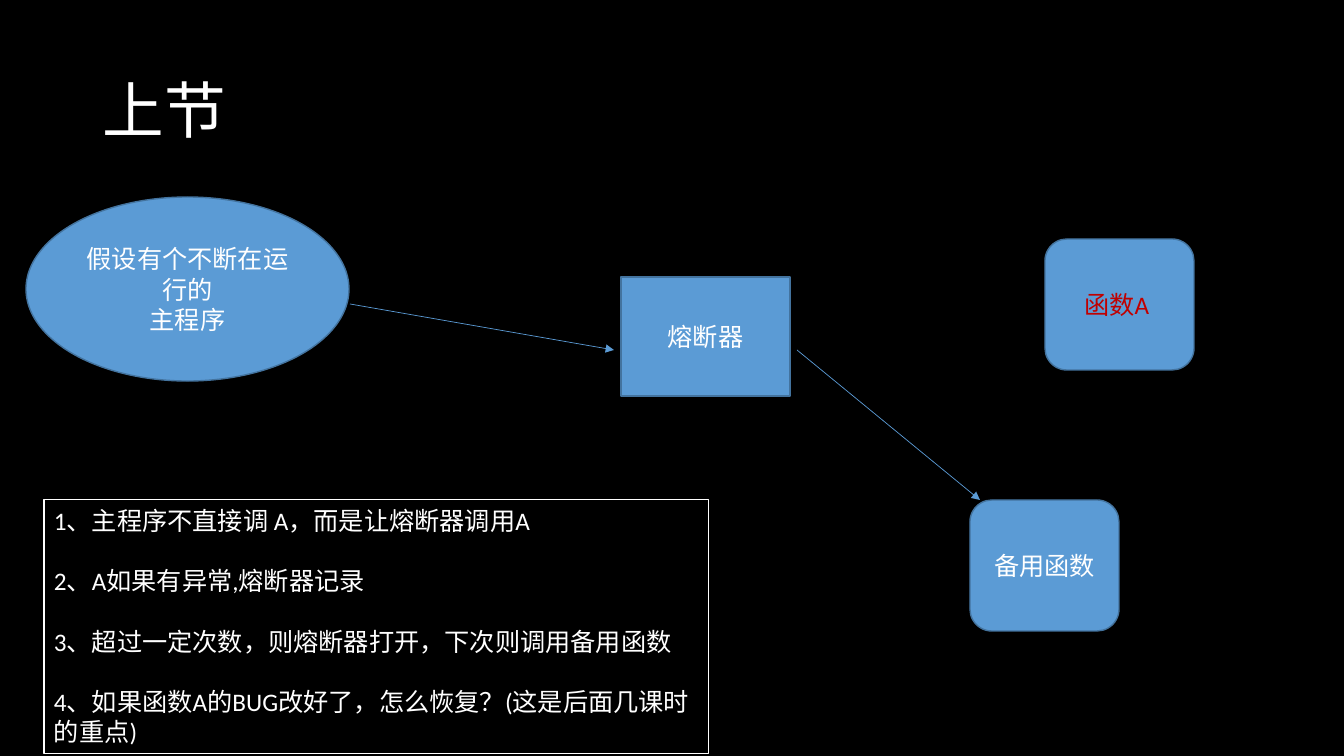
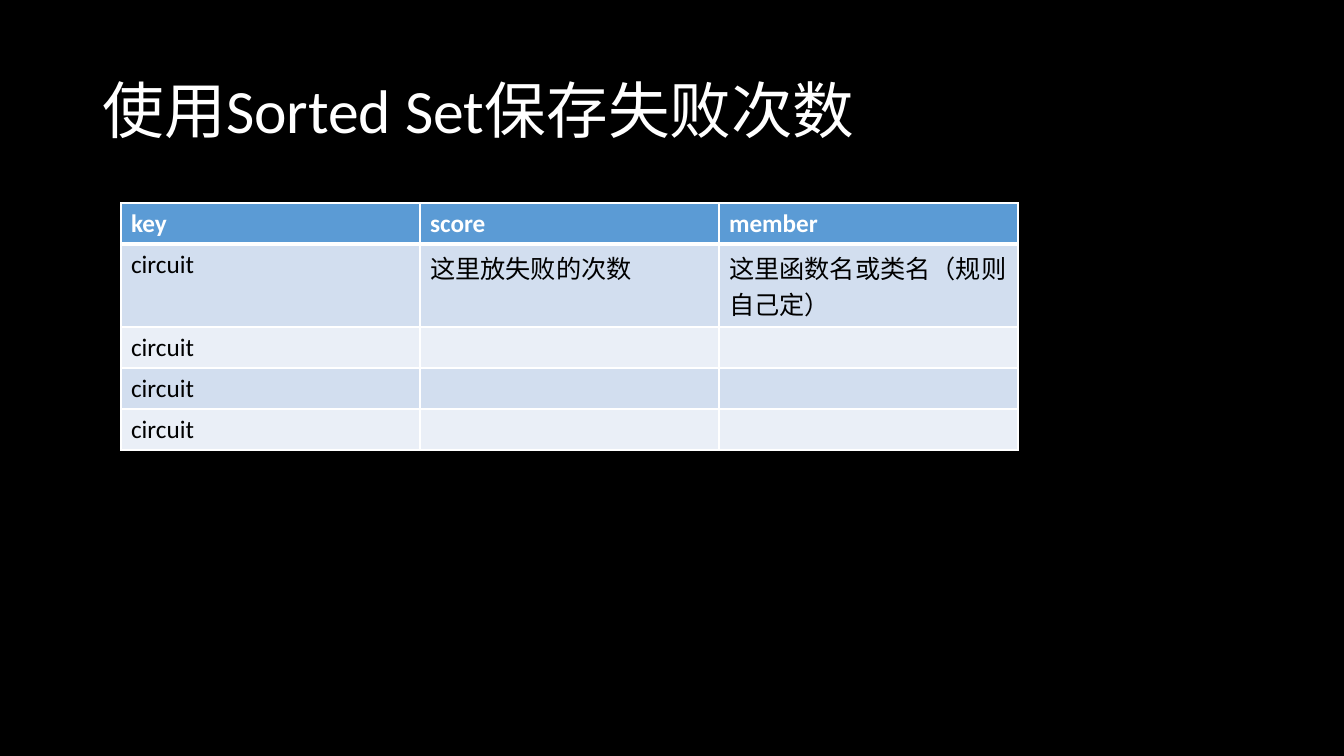
from dataclasses import dataclass

from lxml.etree import SubElement
from pptx import Presentation
from pptx.dml.color import RGBColor
from pptx.enum.shapes import MSO_CONNECTOR as Connector, MSO_SHAPE as Shape
from pptx.enum.text import MSO_ANCHOR as Anchor, MSO_AUTO_SIZE as AutoSize, PP_ALIGN as Align
from pptx.oxml.ns import qn
from pptx.util import Emu, Pt

EMU_PER_PIXEL = 914400 / 100.8
FONT = "Calibri"
BLACK, WHITE, RED = "000000", "FFFFFF", "C00000"
BLUE, BLUE_EDGE = "5B9BD5", "43739E"
BANDS = ("D2DEEF", "EAEFF7")
BODY_SIZE, TITLE_SIZE = 18, 44


@dataclass(frozen=True)
class Box:
    """A rectangle in pixels."""
    left: int
    top: int
    width: int
    height: int

    def emu(self) -> tuple:
        """Return the four lengths in EMU."""
        return tuple(map(px, (self.left, self.top, self.width, self.height)))


@dataclass(frozen=True)
class Node:
    """A filled shape of the call diagram."""
    kind: Shape
    box: Box
    lines: tuple
    color: str = WHITE


@dataclass(frozen=True)
class Arrow:
    """An arrow between two points in pixels."""
    start: tuple
    end: tuple


TITLE_BOX = Box(93, 41, 1159, 146)
NODES = (
    Node(Shape.OVAL, Box(26, 197, 323, 184), ("假设有个不断在运行的", "主程序")),
    Node(Shape.ROUNDED_RECTANGLE, Box(1045, 239, 149, 131), ("函数A ",), RED),
    Node(Shape.RECTANGLE, Box(621, 277, 169, 119), ("熔断器",)),
    Node(Shape.ROUNDED_RECTANGLE, Box(970, 500, 149, 131), ("备用函数",)),
)
ARROWS = (
    Arrow((350, 304), (614, 350)),
    Arrow((797, 350), (980, 500)),
)
NOTES_BOX = Box(44, 500, 665, 254)
NOTES = (
    "1、主程序不直接调 A，而是让熔断器调用A",
    "2、A如果有异常,熔断器记录",
    "3、超过一定次数，则熔断器打开，下次则调用备用函数",
    "4、如果函数A的BUG改好了，怎么恢复？(这是后面几课时的重点)",
)
TABLE_LEFT, TABLE_TOP, COLUMN_WIDTH = 121, 203, 299
ROW_HEIGHTS = (41, 83, 41, 41, 41)
ROWS = (
    ("key", "score", "member"),
    ("circuit", "这里放失败的次数", "这里函数名或类名（规则自己定）"),
    ("circuit", "", ""),
    ("circuit", "", ""),
    ("circuit", "", ""),
)


def px(pixels: int) -> Emu:
    """Turn pixels into EMU."""
    return Emu(round(pixels * EMU_PER_PIXEL))


def rgb(color: str) -> RGBColor:
    """Turn a hex string into a colour."""
    return RGBColor.from_string(color)


def paint(target, color: str) -> None:
    """Give a shape or cell a solid fill."""
    target.fill.solid()
    target.fill.fore_color.rgb = rgb(color)


def draw_line(line, color: str, width: float) -> None:
    """Set the colour and width of a line."""
    line.color.rgb = rgb(color)
    line.width = Pt(width)


def write(frame, lines: tuple, color: str, size: int = BODY_SIZE,
          align: Align = Align.LEFT, bold: bool = False, gap: float = 0) -> None:
    """Write one paragraph per line, with a gap between paragraphs."""
    frame.word_wrap = True
    for index, line in enumerate(lines):
        para = frame.add_paragraph() if index else frame.paragraphs[0]
        para.text = line
        para.alignment = align
        para.space_before = Pt(gap if index else 0)
        font = para.font
        font.name, font.size, font.bold = FONT, Pt(size), bold
        font.color.rgb = rgb(color)


def add_page(deck, title: str):
    """Add a black page with its title."""
    page = deck.slides.add_slide(deck.slide_layouts[6])
    paint(page.background, BLACK)
    frame = page.shapes.add_textbox(*TITLE_BOX.emu()).text_frame
    frame.vertical_anchor = Anchor.MIDDLE
    write(frame, (title,), WHITE, TITLE_SIZE)
    frame.paragraphs[0].line_spacing = 0.9
    return page


def add_node(page, node: Node) -> None:
    """Draw a diagram node with centred text."""
    shape = page.shapes.add_shape(node.kind, *node.box.emu())
    shape.shadow.inherit = False
    paint(shape, BLUE)
    draw_line(shape.line, BLUE_EDGE, 1)
    shape.text_frame.vertical_anchor = Anchor.MIDDLE
    write(shape.text_frame, node.lines, node.color, align=Align.CENTER)


def add_arrow(page, arrow: Arrow) -> None:
    """Draw a thin line with a triangle at its end."""
    connector = page.shapes.add_connector(
        Connector.STRAIGHT, *map(px, arrow.start + arrow.end))
    draw_line(connector.line, BLUE, 0.5)
    properties = connector._element.spPr
    SubElement(properties.find(qn("a:ln")), qn("a:tailEnd"), type="triangle")
    SubElement(properties, qn("a:effectLst"))


def add_notes(page) -> None:
    """Draw the outlined box of numbered remarks."""
    box = page.shapes.add_textbox(*NOTES_BOX.emu())
    draw_line(box.line, WHITE, 0.75)
    write(box.text_frame, NOTES, WHITE, gap=21.6)
    box.text_frame.auto_size = AutoSize.SHAPE_TO_FIT_TEXT


def add_borders(cell, top: float, bottom: float) -> None:
    """Give a cell white borders of the given widths in points."""
    properties = cell._tc.get_or_add_tcPr()
    for side, width in (("L", 1), ("R", 1), ("T", top), ("B", bottom)):
        line = SubElement(properties, qn(f"a:ln{side}"), w=str(Pt(width)))
        SubElement(SubElement(line, qn("a:solidFill")), qn("a:srgbClr"), val=WHITE)


def add_score_table(page) -> None:
    """Draw the banded table of the sorted set."""
    columns = len(ROWS[0])
    box = Box(TABLE_LEFT, TABLE_TOP, columns * COLUMN_WIDTH, sum(ROW_HEIGHTS))
    table = page.shapes.add_table(len(ROWS), columns, *box.emu()).table
    for row, (texts, height) in enumerate(zip(ROWS, ROW_HEIGHTS)):
        table.rows[row].height = px(height)
        header = row == 0
        for column, text in enumerate(texts):
            cell = table.cell(row, column)
            add_borders(cell, top=3 if row == 1 else 1, bottom=3 if header else 1)
            paint(cell, BLUE if header else BANDS[(row - 1) % 2])
            write(cell.text_frame, (text,), WHITE if header else BLACK, bold=header)


def main() -> None:
    """Build and save the deck."""
    deck = Presentation()
    deck.slide_width, deck.slide_height = px(1344), px(756)

    breaker_page = add_page(deck, "上节")
    for node in NODES:
        add_node(breaker_page, node)
    for arrow in ARROWS:
        add_arrow(breaker_page, arrow)
    add_notes(breaker_page)

    add_score_table(add_page(deck, "使用Sorted Set保存失败次数"))
    deck.save("out.pptx")


main()
